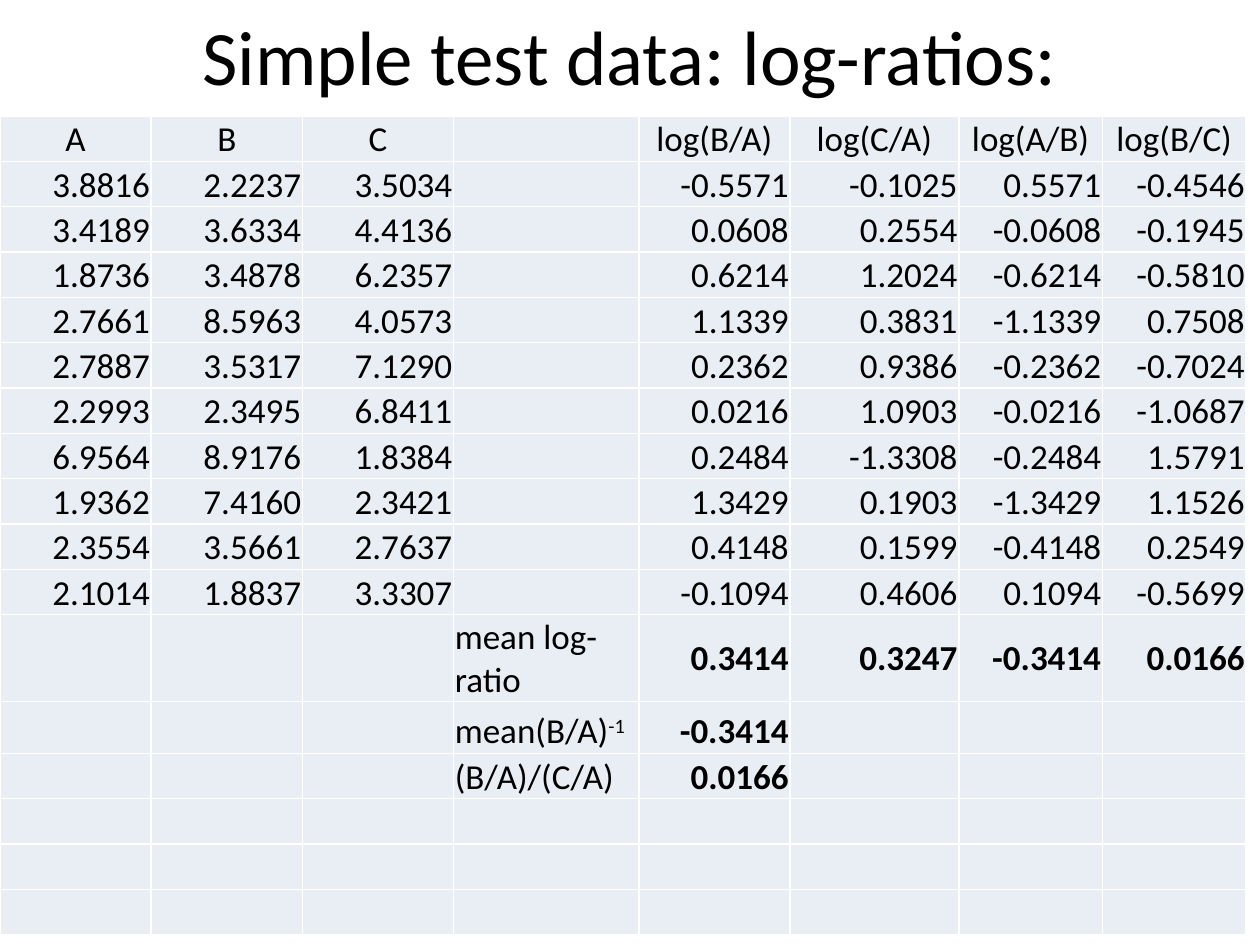
from pptx import Presentation
from pptx.dml.color import RGBColor
from pptx.enum.text import MSO_ANCHOR as Anchor, PP_ALIGN as Align
from pptx.util import Inches, Pt

TITLE = "Simple test data: log-ratios:"
HEADER = ("A", "B", "C", "", "log(B/A)", "log(C/A)", "log(A/B)", "log(B/C)")
SAMPLES = [
    ("3.8816", "2.2237", "3.5034", "", "-0.5571", "-0.1025", "0.5571", "-0.4546"),
    ("3.4189", "3.6334", "4.4136", "", "0.0608", "0.2554", "-0.0608", "-0.1945"),
    ("1.8736", "3.4878", "6.2357", "", "0.6214", "1.2024", "-0.6214", "-0.5810"),
    ("2.7661", "8.5963", "4.0573", "", "1.1339", "0.3831", "-1.1339", "0.7508"),
    ("2.7887", "3.5317", "7.1290", "", "0.2362", "0.9386", "-0.2362", "-0.7024"),
    ("2.2993", "2.3495", "6.8411", "", "0.0216", "1.0903", "-0.0216", "-1.0687"),
    ("6.9564", "8.9176", "1.8384", "", "0.2484", "-1.3308", "-0.2484", "1.5791"),
    ("1.9362", "7.4160", "2.3421", "", "1.3429", "0.1903", "-1.3429", "1.1526"),
    ("2.3554", "3.5661", "2.7637", "", "0.4148", "0.1599", "-0.4148", "0.2549"),
    ("2.1014", "1.8837", "3.3307", "", "-0.1094", "0.4606", "0.1094", "-0.5699"),
]
# "^" starts a superscript
SUMMARY = [
    ("", "", "", "mean log-ratio", "0.3414", "0.3247", "-0.3414", "0.0166"),
    ("", "", "", "mean(B/A)^-1", "-0.3414", "", "", ""),
    ("", "", "", "(B/A)/(C/A)", "0.0166", "", "", ""),
]
SPARE_ROWS = [("",) * len(HEADER)] * 3
ROWS = [HEADER, *SAMPLES, *SUMMARY, *SPARE_ROWS]

LABEL_COLUMN = 3
FIRST_SUMMARY = 1 + len(SAMPLES)
COLUMN_WIDTHS = (1.2, 1.2, 1.2, 1.47, 1.2, 1.34, 1.14, 1.14)
ROW_HEIGHTS = [0.36] * len(ROWS)
ROW_HEIGHTS[FIRST_SUMMARY + 1] = 0.41  # room for the superscript


def style(paragraph, size, align, bold=False, color="000000"):
    paragraph.alignment = align
    font = paragraph.font
    font.name, font.size, font.bold = "Calibri", Pt(size), bold
    font.color.rgb = RGBColor.from_string(color)


def fill_cell(cell, text, align, bold, anchor):
    cell.fill.solid()
    cell.fill.fore_color.rgb = RGBColor.from_string("E9EDF4")
    cell.margin_left = cell.margin_right = cell.margin_top = Inches(0.01)
    cell.margin_bottom = 0
    cell.vertical_anchor = anchor
    paragraph = cell.text_frame.paragraphs[0]
    style(paragraph, 20, align, bold)
    base, _, superscript = text.partition("^")
    if base:
        paragraph.add_run().text = base
    if superscript:
        run = paragraph.add_run()
        run.text = superscript
        run.font._element.set("baseline", "30000")


prs = Presentation()
prs.slide_width, prs.slide_height = Inches(10), Inches(7.5)
slide = prs.slides.add_slide(prs.slide_layouts[5])

title = slide.shapes.title
title.left, title.top = Inches(0.5), Inches(-0.19)
title.width, title.height = Inches(9), Inches(1.25)
title.text_frame.text = TITLE
title.text_frame.vertical_anchor = Anchor.MIDDLE
style(title.text_frame.paragraphs[0], 44, Align.CENTER)

table = slide.shapes.add_table(
    len(ROWS), len(HEADER), 0, Inches(0.92),
    Inches(sum(COLUMN_WIDTHS)), Inches(sum(ROW_HEIGHTS))).table
table.first_row = table.horz_banding = False
for column, width in zip(table.columns, COLUMN_WIDTHS):
    column.width = Inches(width)
for row, height in zip(table.rows, ROW_HEIGHTS):
    row.height = Inches(height)

for r, values in enumerate(ROWS):
    for c, text in enumerate(values):
        is_label = c == LABEL_COLUMN
        if r == 0:
            align = Align.CENTER
        else:
            align = Align.LEFT if is_label else Align.RIGHT
        bold = r >= FIRST_SUMMARY and not is_label
        centred = r == FIRST_SUMMARY and not is_label
        fill_cell(table.cell(r, c), text, align, bold,
                  Anchor.MIDDLE if centred else Anchor.BOTTOM)

prs.save("out.pptx")
